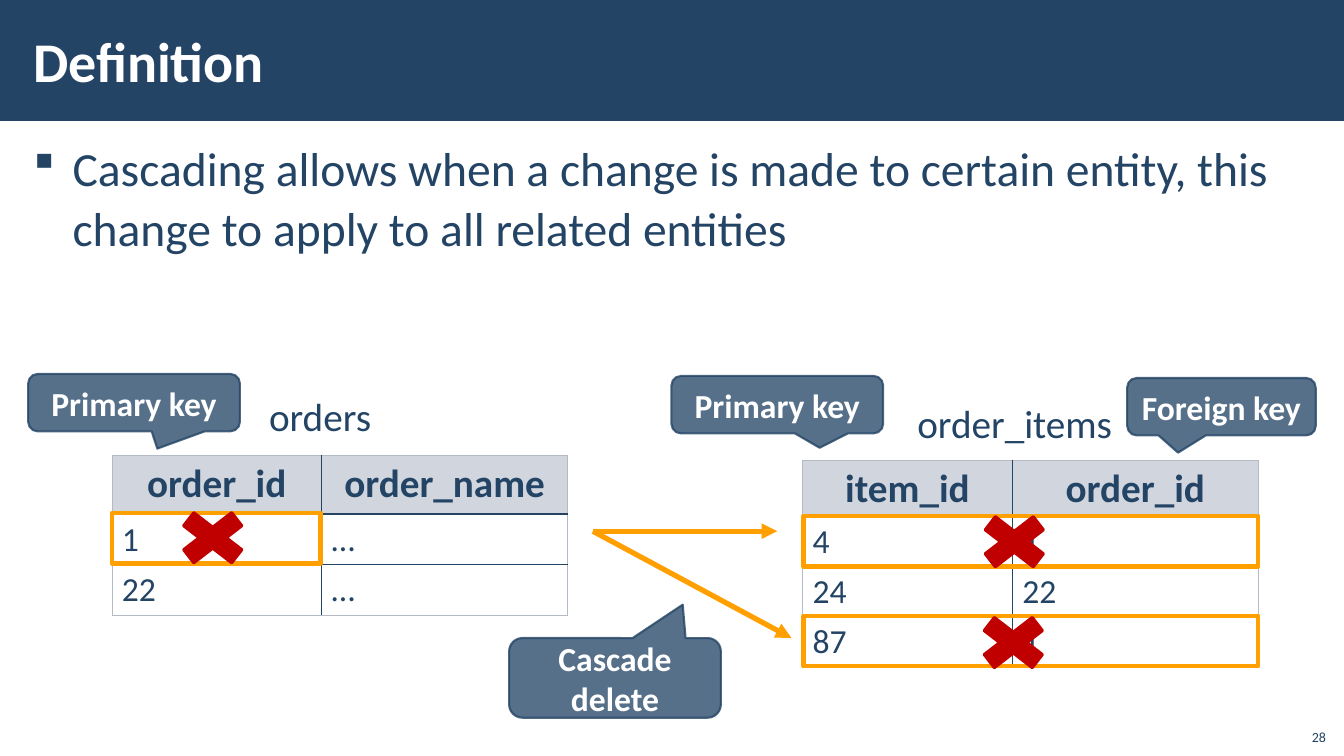
"""Build the slide that defines cascading with two related tables."""
from pptx import Presentation
from pptx.dml.color import RGBColor
from pptx.enum import shapes, text
from pptx.oxml import parse_xml
from pptx.oxml.ns import nsdecls
from pptx.util import Inches, Pt

NAVY, WHITE, ORANGE, RED = "234465", "FFFFFF", "FFA000", "C00000"
SLATE, HEADER, PALE = "4F6984", "D1D5DD", "B5BBC6"
FONT = "Calibri"
SHAPE = shapes.MSO_SHAPE
ALIGN = text.PP_ALIGN
ANCHOR = text.MSO_ANCHOR

TITLE = "Definition"
BODY = ("Cascading allows when a change is made to certain entity, "
        "this change to apply to all related entities")
PAGE_NUMBER = "28"
CAPTIONS = [("orders", (2.57, 3.84, 1.23, 0.57)),
            ("order_items", (9, 3.91, 2.22, 0.57))]
CALLOUTS = [("Primary key", (0.28, 3.71, 2.1, 0.57), (0.11, 0.8)),
            ("Primary key", (6.66, 3.73, 2.1, 0.57), (0.2, 0.75)),
            ("Foreign key", (11.18, 3.75, 1.87, 0.57), (-0.23, 0.8)),
            ("Cascade delete", (5.05, 6.33, 2.1, 0.79), (0.32, -0.92))]
COLUMNS = (2.08, 2.44)
ROW_HEIGHT = 0.5
TABLES = [((1.11, 4.52), 0.58,
           [("order_id", "order_name"), ("1", "…"), ("22", "…")]),
          ((7.96, 4.57), 0.55,
           [("item_id", "order_id"), ("4", "1"), ("24", "22"), ("87", "1")])]
ARROW_START = (5.88, 5.27)
ARROW_ENDS = [(7.71, 5.27), (7.85, 6.33)]
FRAMES = [(1.11, 5.09, 2.07, 0.5), (7.97, 5.12, 4.51, 0.5),
          (7.97, 6.11, 4.51, 0.5)]
CROSSES = [(1.65, 4.98), (9.6, 5.02), (9.59, 6.02)]
CROSS_SIZE = (0.92, 0.71)


def rgb(value):
    return RGBColor.from_string(value)


def inches(values):
    return [Inches(value) for value in values]


def xml(tag, inner="", attributes=""):
    return parse_xml(f'<a:{tag} {nsdecls("a")} {attributes}>{inner}</a:{tag}>')


def solid(color, alpha=100):
    return (f'<a:solidFill><a:srgbClr val="{color}">'
            f'<a:alpha val="{alpha * 1000}"/></a:srgbClr></a:solidFill>')


def write(frame, words, size, color=NAVY, bold=False, align=ALIGN.LEFT):
    para = frame.paragraphs[0]
    para.alignment = align
    span = para.add_run()
    span.text = words
    span.font.name, span.font.size = FONT, Pt(size)
    span.font.bold, span.font.color.rgb = bold, rgb(color)
    return para


def add_shape(page, kind, place, fill=None, line=None, width=1):
    shape = page.shapes.add_shape(kind, *inches(place))
    shape.shadow.inherit = False
    if fill:
        shape.fill.solid()
        shape.fill.fore_color.rgb = rgb(fill)
    else:
        shape.fill.background()
    if line:
        shape.line.color.rgb = rgb(line)
        shape.line.width = Pt(width)
    else:
        shape.line.fill.background()
    return shape


def set_alpha(fill, percent):
    fill.find(".//{*}srgbClr").append(xml("alpha", "", f'val="{percent * 1000}"'))


def fill_placeholder(box, place, words, size, color, bold, anchor):
    box.left, box.top, box.width, box.height = inches(place)
    frame = box.text_frame
    frame.word_wrap, frame.auto_size = True, text.MSO_AUTO_SIZE.NONE
    frame.vertical_anchor = anchor
    frame.margin_left = frame.margin_right = Inches(0.12)
    frame.margin_top = frame.margin_bottom = Inches(0.04)
    return write(frame, words, size, color, bold)


def add_heading(page):
    title, body = page.shapes.title, page.placeholders[1]
    bar = add_shape(page, SHAPE.RECTANGLE, (0, 0, 13.34, 1.2), NAVY)
    title.element.addprevious(bar.element)
    fill_placeholder(title, (0.21, 0.11, 10.63, 0.97), TITLE, 40, WHITE, True,
                     ANCHOR.MIDDLE)
    para = fill_placeholder(body, (0.21, 1.31, 12.92, 6.05), BODY, 34, NAVY,
                            False, ANCHOR.TOP)
    para.line_spacing = 1.05
    para.space_before = para.space_after = Pt(6)
    props = para._p.get_or_add_pPr()
    props.set("marL", str(Inches(0.39)))
    props.set("indent", str(-Inches(0.39)))
    props.append(xml("buFont", "", 'typeface="Wingdings"'))
    props.append(xml("buChar", "", 'char="§"'))


def add_text(page, words, place, size, align=ALIGN.LEFT, wrap=False):
    frame = page.shapes.add_textbox(*inches(place)).text_frame
    frame.word_wrap = wrap
    write(frame, words, size, align=align)
    return frame


def add_callout(page, words, place, tip):
    box = add_shape(page, SHAPE.ROUNDED_RECTANGULAR_CALLOUT, place, SLATE,
                    NAVY, 1.5)
    box.adjustments[0], box.adjustments[1] = tip
    props = box.element.spPr
    set_alpha(props.find("{*}solidFill"), 95)
    set_alpha(props.find("{*}ln"), 80)
    frame = box.text_frame
    frame.word_wrap, frame.vertical_anchor = True, ANCHOR.MIDDLE
    write(frame, words, 24, WHITE, True, ALIGN.CENTER)


def set_borders(cell, outer):
    props = cell._tc.get_or_add_tcPr()
    for index, side in enumerate(("lnL", "lnR", "lnT", "lnB")):
        color, width = (PALE, 0.5) if outer[index] else (NAVY, 1)
        props.insert(index, xml(side, solid(color), f'w="{Pt(width)}"'))


def add_table(page, corner, header_height, rows):
    heights = [header_height] + [ROW_HEIGHT] * (len(rows) - 1)
    place = (*corner, sum(COLUMNS), sum(heights))
    table = page.shapes.add_table(len(rows), len(COLUMNS), *inches(place)).table
    table.first_row = table.horz_banding = False
    for column, width in zip(table.columns, COLUMNS):
        column.width = Inches(width)
    for r, (row, height) in enumerate(zip(rows, heights)):
        table.rows[r].height = Inches(height)
        for c, words in enumerate(row):
            cell = table.cell(r, c)
            cell.fill.solid()
            cell.fill.fore_color.rgb = rgb(WHITE if r else HEADER)
            if r:
                write(cell.text_frame, words, 24)
            else:
                cell.margin_left = cell.margin_right = Inches(0.17)
                write(cell.text_frame, words, 28, NAVY, True,
                      ALIGN.CENTER).line_spacing = 0.95
            set_borders(cell, (c == 0, c == len(row) - 1,
                               r == 0, r == len(rows) - 1))


def add_arrow(page, end):
    arrow = page.shapes.add_connector(shapes.MSO_CONNECTOR.STRAIGHT,
                                      *inches(ARROW_START + end))
    arrow.line.color.rgb, arrow.line.width = rgb(ORANGE), Pt(3.75)
    arrow.line._get_or_add_ln().append(xml("tailEnd", "", 'type="triangle"'))
    arrow.element.spPr.append(xml("effectLst"))


def main():
    deck = Presentation()
    deck.slide_width, deck.slide_height = Inches(13.33), Inches(7.5)
    page = deck.slides.add_slide(deck.slide_layouts[1])
    add_heading(page)
    number = add_text(page, PAGE_NUMBER, (12.85, 7.12, 0.4, 0.32), 10,
                      ALIGN.RIGHT, True)
    number.vertical_anchor = ANCHOR.BOTTOM
    for words, place in CAPTIONS:
        add_text(page, words, place, 28)
    for end in ARROW_ENDS:
        add_arrow(page, end)
    for callout in CALLOUTS:
        add_callout(page, *callout)
    for table in TABLES:
        add_table(page, *table)
    for place in FRAMES:
        add_shape(page, SHAPE.RECTANGLE, place, None, ORANGE, 3)
    for corner in CROSSES:
        add_shape(page, SHAPE.MATH_MULTIPLY, corner + CROSS_SIZE, RED, RED, 2)
    deck.save("out.pptx")


if __name__ == "__main__":
    main()
